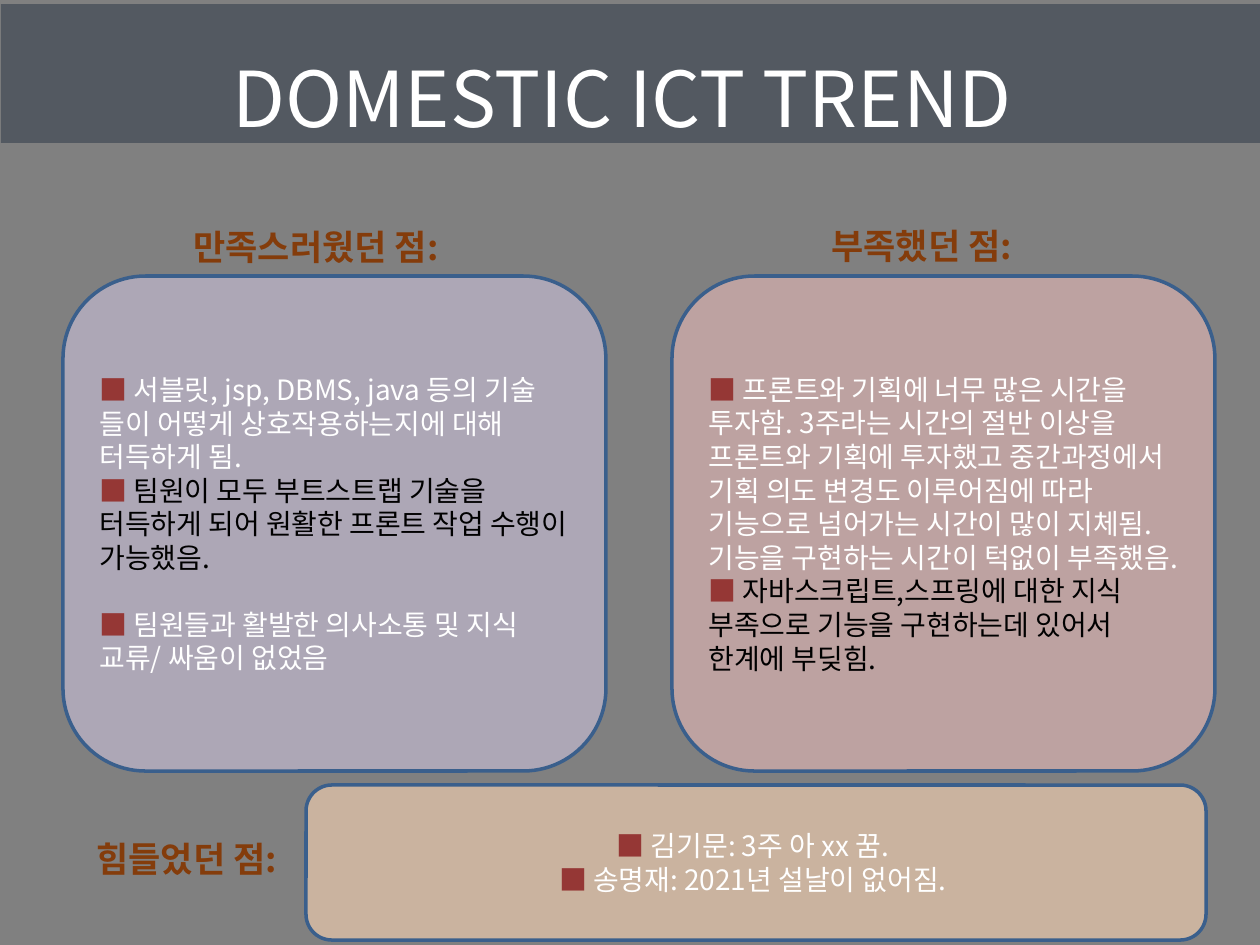
from lxml.etree import SubElement
from pptx import Presentation
from pptx.dml.color import RGBColor
from pptx.enum.shapes import MSO_SHAPE
from pptx.enum.text import MSO_ANCHOR, MSO_AUTO_SIZE, PP_ALIGN
from pptx.oxml.ns import qn
from pptx.util import Emu, Pt

EMU_PER_PX = 914400 / 126
FONT = "Noto Sans CJK KR"
WHITE, BLACK = "FFFFFF", "000000"
BULLET = "953735"
TITLE_FORMAT = {"size": Pt(44), "bold": False}
LABEL_FORMAT = {"size": Pt(20), "bold": True}
BODY_FORMAT = {"size": Pt(16)}
TITLE_PARAGRAPH = {"alignment": PP_ALIGN.CENTER, "line_spacing": 1.5}
LABEL_PARAGRAPH = {"line_spacing": 1.5}


def px(value):
    return Emu(round(value * EMU_PER_PX))


def color(hex_string):
    return RGBColor.from_string(hex_string)


def apply(target, values):
    for name, value in values.items():
        setattr(target, name, value)


class SlideBuilder:
    """Holds the current slide and its common style."""

    def __init__(self, presentation, background):
        self.slide = presentation.slides.add_slide(presentation.slide_layouts[5])
        self.fill(self.slide.background, background)

    def fill(self, target, hex_string, opacity=100):
        target.fill.solid()
        target.fill.fore_color.rgb = color(hex_string)
        if opacity < 100:
            rgb = target.fill._xPr.find(".//" + qn("a:srgbClr"))
            SubElement(rgb, qn("a:alpha"), val=str(opacity * 1000))

    def run(self, paragraph, text, hex_string, font_format):
        run = paragraph.add_run()
        run.text = text
        run.font.name = FONT
        run.font.color.rgb = color(hex_string)
        apply(run.font, font_format)
        SubElement(run._r.get_or_add_rPr(), qn("a:ea"), typeface=FONT)

    def title(self, text, left, top, width, height, hex_string):
        title = self.slide.shapes.title
        apply(title, {"left": px(left), "top": px(top),
                      "width": px(width), "height": px(height)})
        self.fill(title, hex_string)
        apply(title.text_frame, {"auto_size": MSO_AUTO_SIZE.NONE,
                                 "vertical_anchor": MSO_ANCHOR.MIDDLE})
        paragraph = title.text_frame.paragraphs[0]
        apply(paragraph, TITLE_PARAGRAPH)
        self.run(paragraph, text, WHITE, TITLE_FORMAT)

    def label(self, text, left, top):
        box = self.slide.shapes.add_textbox(px(left), px(top), px(306), px(77))
        apply(box.text_frame, {"word_wrap": True,
                               "auto_size": MSO_AUTO_SIZE.SHAPE_TO_FIT_TEXT})
        paragraph = box.text_frame.paragraphs[0]
        apply(paragraph, LABEL_PARAGRAPH)
        self.run(paragraph, text, "843C0B", LABEL_FORMAT)

    def card(self, left, top, width, height, hex_string, items, alignment=PP_ALIGN.LEFT):
        """Draw a rounded card; each item is (text, colour, points of space before)."""
        card = self.slide.shapes.add_shape(
            MSO_SHAPE.ROUNDED_RECTANGLE, px(left), px(top), px(width), px(height))
        card.shadow.inherit = False
        self.fill(card, hex_string, opacity=60)
        card.line.color.rgb = color("3A5F8C")
        card.line.width = Pt(2)
        frame = card.text_frame
        apply(frame, {"word_wrap": True, "vertical_anchor": MSO_ANCHOR.MIDDLE})
        for index, (text, text_color, space) in enumerate(items):
            paragraph = frame.add_paragraph() if index else frame.paragraphs[0]
            apply(paragraph, {"alignment": alignment, "space_before": Pt(space)})
            self.run(paragraph, "■ ", BULLET, BODY_FORMAT)
            self.run(paragraph, text, text_color, BODY_FORMAT)


SATISFIED = [
    ("서블릿, jsp, DBMS, java 등의 기술 들이 어떻게 상호작용하는지에 대해 터득하게 됨.", WHITE, 0),
    ("팀원이 모두 부트스트랩 기술을 터득하게 되어 원활한 프론트 작업 수행이 가능했음.", BLACK, 0),
    ("팀원들과 활발한 의사소통 및 지식 교류/ 싸움이 없었음", WHITE, 19),
]
LACKING = [
    ("프론트와 기획에 너무 많은 시간을 투자함. 3주라는 시간의 절반 이상을 "
     "프론트와 기획에 투자했고 중간과정에서 기획 의도 변경도 이루어짐에 따라 "
     "기능으로 넘어가는 시간이 많이 지체됨. 기능을 구현하는 시간이 턱없이 부족했음.", WHITE, 0),
    ("자바스크립트,스프링에 대한 지식 부족으로 기능을 구현하는데 있어서 한계에 부딪힘.", BLACK, 0),
]
DIFFICULT = [
    ("김기문: 3주 아 xx 꿈. ", WHITE, 0),
    ("송명재: 2021년 설날이 없어짐. ", WHITE, 0),
]


def main():
    presentation = Presentation()
    presentation.slide_width, presentation.slide_height = px(1260), px(945)
    builder = SlideBuilder(presentation, "808080")
    builder.title("DOMESTIC ICT TREND ", 1, 4, 1260, 139, "535961")
    builder.label("만족스러웠던 점:", 181, 198)
    builder.card(63, 276, 543, 495, "CCC1DA", SATISFIED)
    builder.card(672, 276, 543, 495, "E6B9B8", LACKING)
    builder.label("부족했던 점:", 819, 197)
    builder.label("힘들었던 점:", 84, 810)
    builder.card(306, 785, 900, 155, "FCD5B5", DIFFICULT, PP_ALIGN.CENTER)
    presentation.save("out.pptx")


if __name__ == "__main__":
    main()
